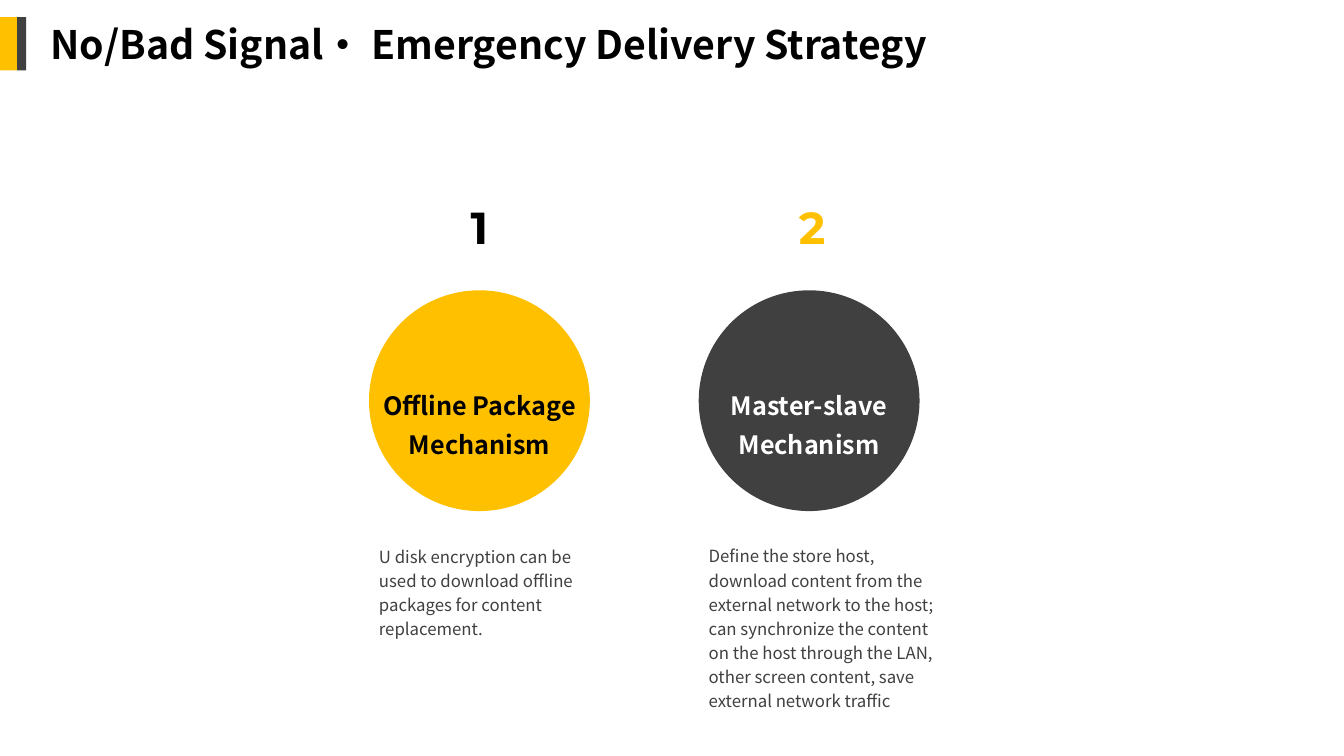
import pptx
import pptx.dml.color
import pptx.enum.shapes
import pptx.enum.text
import pptx.oxml
import pptx.oxml.ns
import pptx.util

WIDTH, HEIGHT = 13.33, 7.5
YELLOW, GREY, BLACK, WHITE = "FFC000", "404040", "000000", "FFFFFF"
SANS, NUMERAL = "Noto Sans CJK SC", "Montserrat"
FIRST_COLUMN, COLUMN_PITCH = 3.66, 3.27
CIRCLE, LABEL_WIDTH = 2.19, 2.93

MECHANISMS = [
    {"number": "1", "number_color": BLACK, "number_shift": 0,
     "name": "Offline Package Mechanism", "name_color": BLACK, "fill": YELLOW,
     "detail": "U disk encryption can be used to download offline packages "
               "for content replacement.", "detail_size": (2.19, 1.05)},
    {"number": "2", "number_color": YELLOW, "number_shift": 0.03,
     "name": "Master-slave Mechanism", "name_color": WHITE, "fill": GREY,
     "detail": "Define the store host, download content from the external "
               "network to the host; can synchronize the content on the host "
               "through the LAN, other screen content, save external network "
               "traffic", "detail_size": (2.48, 1.8)},
]


def rgb(value):
    """Turn a hex string into a colour."""
    return pptx.dml.color.RGBColor.from_string(value)


def inches(*lengths):
    """Turn lengths in inches into slide units."""
    return [pptx.util.Inches(length) for length in lengths]


def add_block(slide, kind, box, color):
    """Add a flat shape without an outline."""
    block = slide.shapes.add_shape(kind, *inches(*box))
    block.shadow.inherit = False
    block.fill.solid()
    block.fill.fore_color.rgb = rgb(color)
    block.line.fill.background()


def write(frame, words, size, color, font=SANS, bold=True, centred=True, spacing=1.0):
    """Write one wrapped paragraph into a text frame."""
    frame.word_wrap = True
    frame.auto_size = pptx.enum.text.MSO_AUTO_SIZE.NONE
    align = pptx.enum.text.PP_ALIGN
    paragraph = frame.paragraphs[0]
    paragraph.alignment = align.CENTER if centred else align.LEFT
    paragraph.line_spacing = spacing
    run = paragraph.add_run()
    run.text = words
    run.font.name, run.font.size, run.font.bold = font, pptx.util.Pt(size), bold
    run.font.color.rgb = rgb(color)
    east_asian = pptx.oxml.parse_xml(
        f'<a:ea {pptx.oxml.ns.nsdecls("a")} typeface="{font}"/>')
    run.font._element.find(pptx.oxml.ns.qn("a:latin")).addnext(east_asian)


def add_text(slide, box, words, size, color, **style):
    """Add a text box holding one paragraph."""
    write(slide.shapes.add_textbox(*inches(*box)).text_frame, words, size, color, **style)


def add_heading(slide, words):
    """Add the edge marker and fill the title placeholder."""
    rectangle = pptx.enum.shapes.MSO_SHAPE.RECTANGLE
    add_block(slide, rectangle, (0, 0.17, 0.17, 0.53), YELLOW)
    add_block(slide, rectangle, (0.17, 0.17, 0.09, 0.53), GREY)
    title = slide.shapes.title
    title.left, title.top, title.width, title.height = inches(0.4, 0.15, 10.76, 0.57)
    title.text_frame.vertical_anchor = pptx.enum.text.MSO_ANCHOR.MIDDLE
    write(title.text_frame, words, 28, BLACK, centred=False)


def add_mechanism(slide, column, mechanism):
    """Add one column: number, named circle and detail."""
    left = FIRST_COLUMN + column * COLUMN_PITCH
    label_left = left + (CIRCLE - LABEL_WIDTH) / 2
    add_block(slide, pptx.enum.shapes.MSO_SHAPE.OVAL,
              (left, 2.88, CIRCLE, CIRCLE), mechanism["fill"])
    add_text(slide, (label_left, 3.73, LABEL_WIDTH, 0.89),
             mechanism["name"], 18, mechanism["name_color"], spacing=1.3)
    add_text(slide, (label_left + mechanism["number_shift"], 1.93, LABEL_WIDTH, 0.64),
             mechanism["number"], 32, mechanism["number_color"], font=NUMERAL)
    add_text(slide, (left, 5.33, *mechanism["detail_size"]),
             mechanism["detail"], 12, GREY, bold=False, centred=False, spacing=1.2)


def main():
    """Build and save the slide."""
    deck = pptx.Presentation()
    deck.slide_width, deck.slide_height = inches(WIDTH, HEIGHT)
    slide = deck.slides.add_slide(deck.slide_layouts.get_by_name("Title Only"))
    add_heading(slide, "No/Bad Signal· Emergency Delivery Strategy")
    for column, mechanism in enumerate(MECHANISMS):
        add_mechanism(slide, column, mechanism)
    deck.save("out.pptx")


if __name__ == "__main__":
    main()
